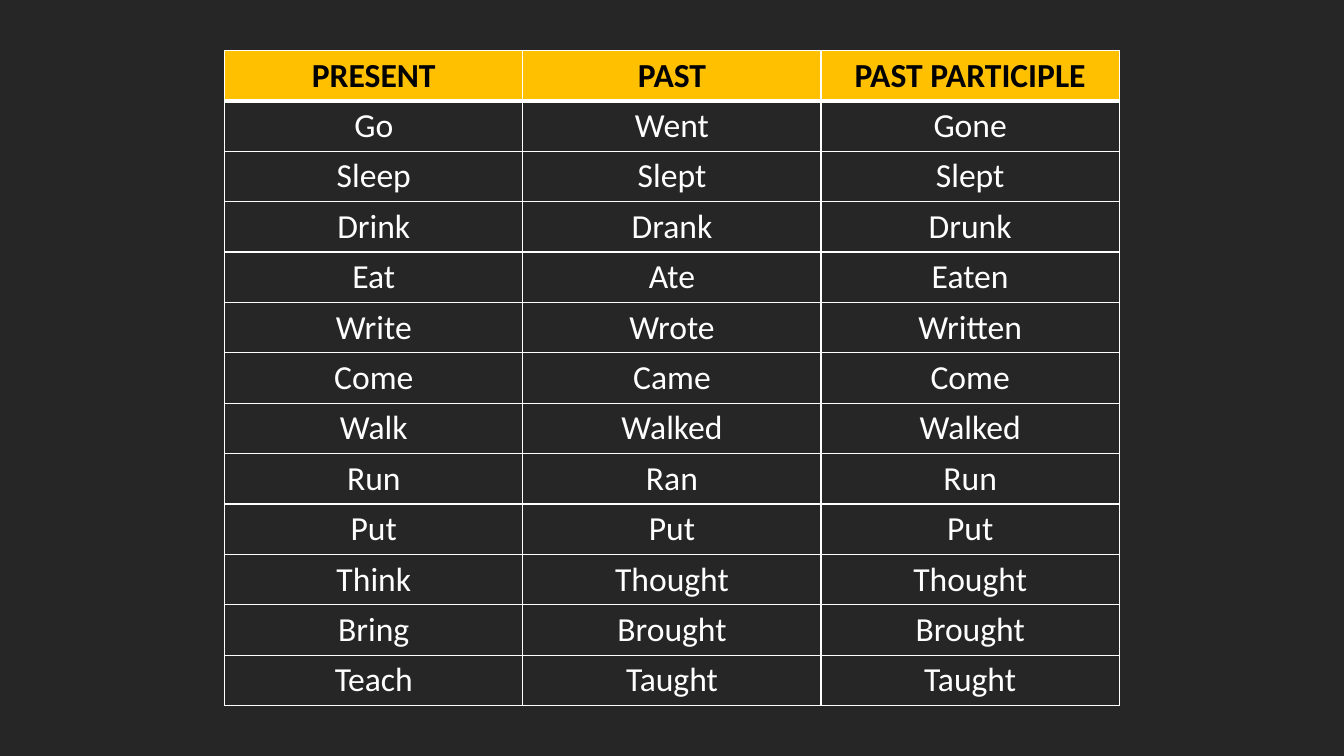
"""Build a slide with a table of English verb forms."""
import dataclasses

import lxml.etree
import pptx
import pptx.dml.color
import pptx.enum.text
import pptx.oxml.ns
import pptx.util

PX = 9525
PAGE_WIDTH, PAGE_HEIGHT = 1280, 720
COLUMN_WIDTH, ROW_HEIGHT = 284, 48
VERB_FORMS = [
    ("PRESENT", "PAST", "PAST PARTICIPLE"),
    ("Go", "Went", "Gone"),
    ("Sleep", "Slept", "Slept"),
    ("Drink", "Drank", "Drunk"),
    ("Eat", "Ate", "Eaten"),
    ("Write", "Wrote", "Written"),
    ("Come", "Came", "Come"),
    ("Walk", "Walked", "Walked"),
    ("Run", "Ran", "Run"),
    ("Put", "Put", "Put"),
    ("Think", "Thought", "Thought"),
    ("Bring", "Brought", "Brought"),
    ("Teach", "Taught", "Taught"),
]


@dataclasses.dataclass(frozen=True)
class Theme:
    """Hold the colours, font and sizes of the slide."""
    background: str = "262626"
    header: str = "FFC000"
    header_text: str = "000000"
    text: str = "FFFFFF"
    border: str = "FFFFFF"
    font: str = "Calibri"
    size: int = 24
    thin: int = 1
    thick: int = 3


THEME = Theme()


def px(length):
    """Turn px into EMU."""
    return pptx.util.Emu(length * PX)


def apply_format(target, values):
    """Set each attribute named in a dict of format values."""
    for name, value in values.items():
        setattr(target, name, value)


def paint(fill, colour):
    """Give a fill one solid colour."""
    fill.solid()
    fill.fore_color.rgb = pptx.dml.color.RGBColor.from_string(colour)


def add_borders(cell, widths):
    """Draw the left, right, top and bottom borders of a cell."""
    qn = pptx.oxml.ns.qn
    properties = cell._tc.get_or_add_tcPr()
    for position, (side, width) in enumerate(widths.items()):
        line = lxml.etree.Element(qn(f"a:ln{side}"), w=str(pptx.util.Pt(width)))
        fill = lxml.etree.SubElement(line, qn("a:solidFill"))
        lxml.etree.SubElement(fill, qn("a:srgbClr"), val=THEME.border)
        properties.insert(position, line)


def fill_cell(cell, word, row):
    """Write and format one verb form."""
    is_header = row == 0
    apply_format(cell, {
        "text": word,
        "margin_top": px(3),
        "margin_bottom": px(3),
        "vertical_anchor": pptx.enum.text.MSO_ANCHOR.MIDDLE,
    })
    para = cell.text_frame.paragraphs[0]
    para.alignment = pptx.enum.text.PP_ALIGN.CENTER
    span = para.runs[0]
    apply_format(span.font, {
        "name": THEME.font,
        "size": pptx.util.Pt(THEME.size),
        "bold": is_header,
    })
    paint(span.font.fill, THEME.header_text if is_header else THEME.text)
    paint(cell.fill, THEME.header if is_header else THEME.background)
    add_borders(cell, {
        "L": THEME.thin,
        "R": THEME.thin,
        "T": THEME.thick if row == 1 else THEME.thin,
        "B": THEME.thick if is_header else THEME.thin,
    })


def add_verb_table(page):
    """Add the table in the centre of the page."""
    row_count, column_count = len(VERB_FORMS), len(VERB_FORMS[0])
    width, height = column_count * COLUMN_WIDTH, row_count * ROW_HEIGHT
    table = page.shapes.add_table(
        row_count, column_count,
        px((PAGE_WIDTH - width) // 2), px((PAGE_HEIGHT - height) // 2),
        px(width), px(height),
    ).table
    table.horz_banding = False
    for row, forms in enumerate(VERB_FORMS):
        for column, word in enumerate(forms):
            fill_cell(table.cell(row, column), word, row)


def main():
    """Build and save the deck."""
    deck = pptx.Presentation()
    apply_format(deck, {
        "slide_width": px(PAGE_WIDTH),
        "slide_height": px(PAGE_HEIGHT),
    })
    page = deck.slides.add_slide(deck.slide_layouts.get_by_name("Blank"))
    paint(page.background.fill, THEME.background)
    add_verb_table(page)
    deck.save("out.pptx")


if __name__ == "__main__":
    main()
